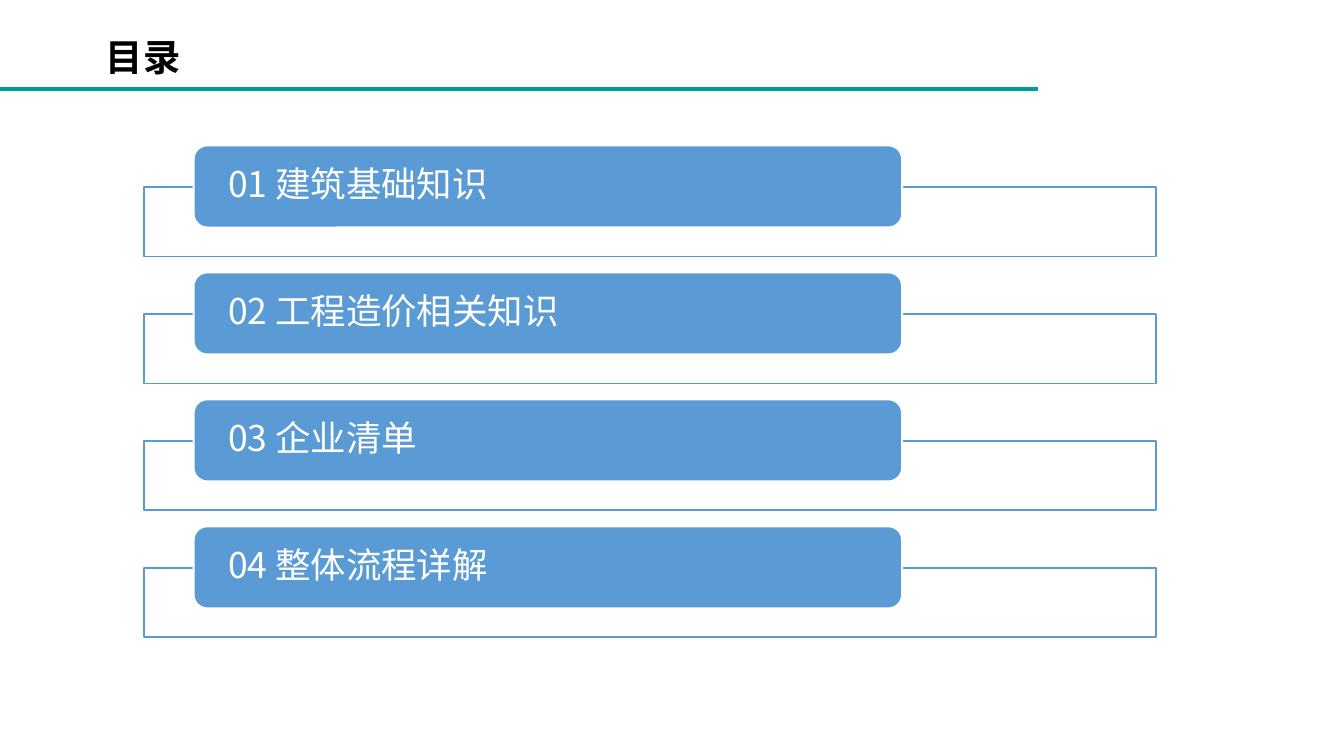
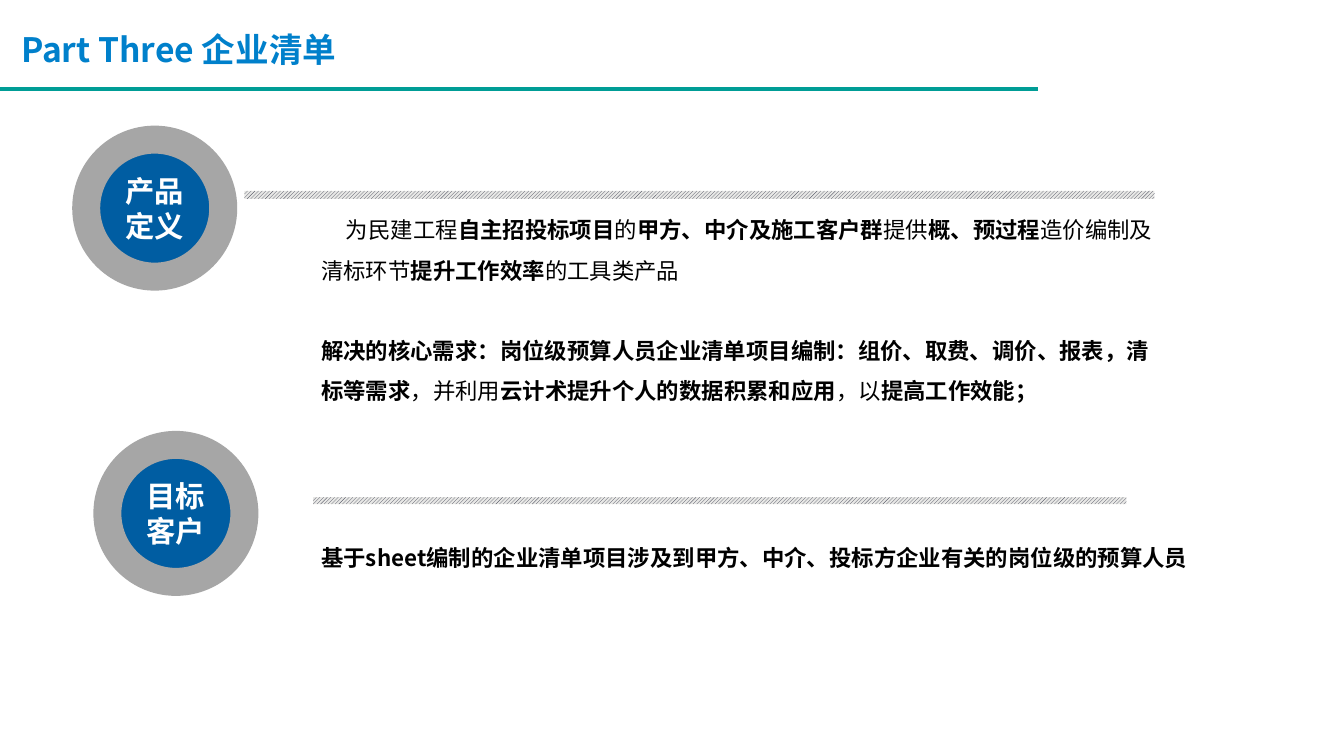
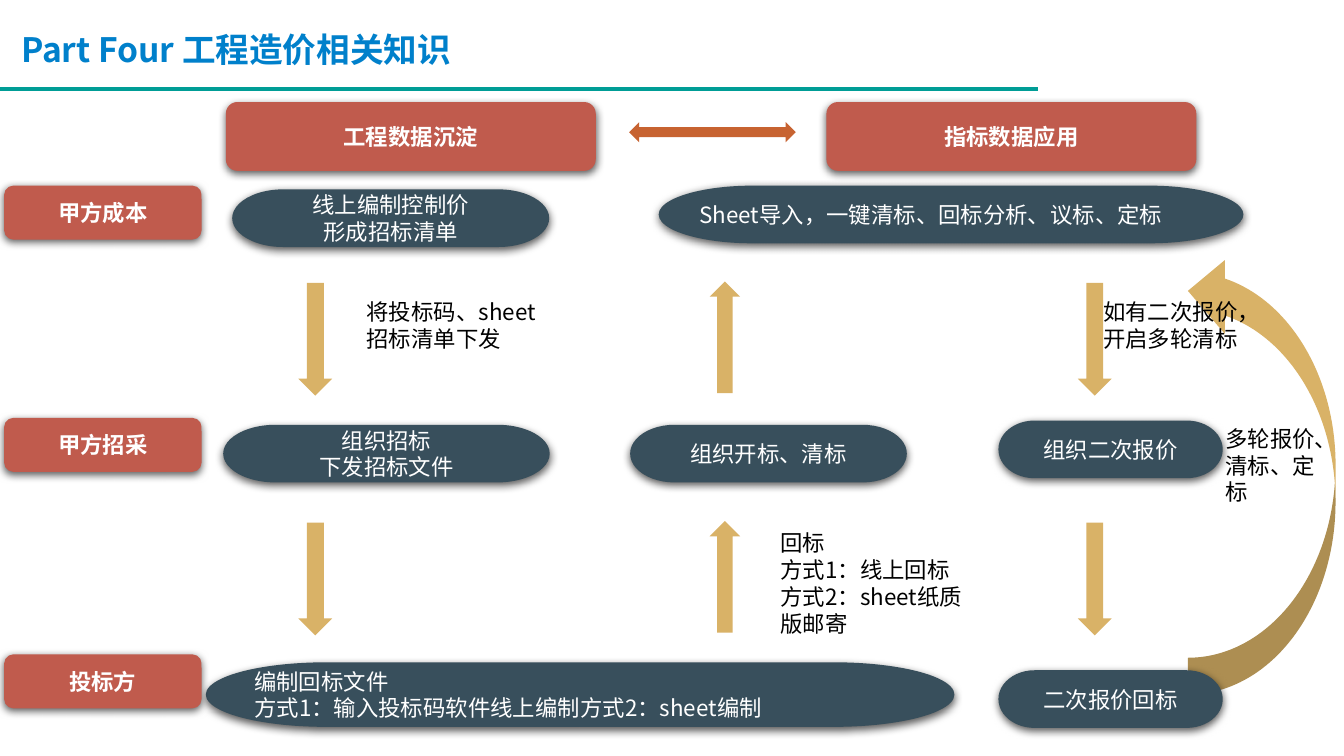
from dataclasses import dataclass, replace
from typing import Optional

from lxml import etree
from pptx import Presentation
from pptx import slide as s
from pptx import util as u
from pptx.dml import color, fill
from pptx.enum import dml, shapes, text
from pptx.oxml import ns
from pptx.shapes import autoshape

FONT = "Noto Sans CJK SC"
WHITE, BLACK = "FFFFFF", "000000"
TEAL, TITLE_BLUE = "009D96", "0080CB"
BAR_BLUE, BADGE_BLUE, BADGE_GRAY = "5B9BD5", "005DA2", "A6A6A6"
HATCH_DARK, HATCH_LIGHT = "414455", "E8E8E6"
SLATE, BRICK, GOLD, ORANGE = "384F5C", "C05B4D", "D9B267", "C76331"

Kind = shapes.MSO_SHAPE
Align = text.PP_ALIGN


@dataclass(frozen=True)
class Place:
    left: float
    top: float
    width: float
    height: float

    def lengths(self) -> tuple[u.Cm, u.Cm, u.Cm, u.Cm]:
        return u.Cm(self.left), u.Cm(self.top), u.Cm(self.width), u.Cm(self.height)


@dataclass(frozen=True)
class Style:
    size: float = 12
    ink: str = BLACK
    bold: bool = False
    align: Align = Align.LEFT
    spacing: Optional[float] = None
    gap: float = 0
    indent: float = 0
    side: float = 0.25
    edge: float = 0.13
    wrap: bool = True


@dataclass(frozen=True)
class Look:
    kind: Kind
    paint: str
    line: Optional[str] = None
    weight: float = 1
    shadow: bool = False


@dataclass(frozen=True)
class Label:
    place: Place
    words: str
    align: Align = Align.CENTER


NOTE = Style()
HEADING = Style(18, TITLE_BLUE, True, wrap=False)
CONTENTS_TITLE = Style(20, bold=True, spacing=0.9)
BAR_TEXT = Style(19, WHITE, spacing=0.9, side=0.58, edge=0)
BADGE_TEXT = Style(15.7, WHITE, True, Align.CENTER, side=0.15, edge=0.08)
BODY = Style(spacing=1.5, gap=21.5, indent=0.47, side=0.15, edge=0.08)
STEP_TEXT = Style(ink=WHITE)
TAG_TEXT = Style(ink=WHITE, bold=True)

FRAME = Look(Kind.RECTANGLE, WHITE, BAR_BLUE)
BAR = Look(Kind.ROUNDED_RECTANGLE, BAR_BLUE, WHITE)
BADGE = Look(Kind.OVAL, BADGE_BLUE, BADGE_GRAY, 15)
STEP = Look(Kind.FLOWCHART_TERMINATOR, SLATE, shadow=True)
TAG = Look(Kind.ROUNDED_RECTANGLE, BRICK, shadow=True)
DOWN = Look(Kind.DOWN_ARROW, GOLD)
UP = Look(Kind.UP_ARROW, GOLD)
LOOP = Look(Kind.CURVED_RIGHT_ARROW, GOLD)
EXCHANGE = Look(Kind.LEFT_RIGHT_ARROW, ORANGE)


def rgb(value: str) -> color.RGBColor:
    return color.RGBColor.from_string(value)


def paint(target: fill.FillFormat, value: str) -> None:
    target.solid()
    target.fore_color.rgb = rgb(value)


def write(box: autoshape.Shape, words: str, style: Style) -> None:
    frame = box.text_frame
    frame.word_wrap = style.wrap
    frame.margin_left = frame.margin_right = u.Cm(style.side)
    frame.margin_top = frame.margin_bottom = u.Cm(style.edge)
    for number, line in enumerate(words.split("\n")):
        para = frame.add_paragraph() if number else frame.paragraphs[0]
        para.alignment = style.align
        if style.spacing:
            para.line_spacing = style.spacing
        if number and style.gap:
            para.space_before = u.Pt(style.gap)
        font = para.font
        font.size, font.name = u.Pt(style.size), FONT
        font.color.rgb = rgb(style.ink)
        properties = para._p.get_or_add_pPr()
        if not number and style.indent:
            properties.set("indent", str(u.Cm(style.indent)))
        east_asian = etree.SubElement(properties.find(ns.qn("a:defRPr")), ns.qn("a:ea"))
        east_asian.set("typeface", FONT)
        pieces = line.split("*")
        if len(pieces) == 1:
            font.bold = style.bold
        for index, piece in enumerate(pieces):
            if piece:
                span = para.add_run()
                span.text = piece
                if len(pieces) > 1:
                    span.font.bold = index % 2 == 1


def add_note(page: s.Slide, place: Place, words: str, style: Style = NOTE) -> None:
    write(page.shapes.add_textbox(*place.lengths()), words, style)


def add_shadow(box: autoshape.Shape) -> None:
    effects = box._element.spPr.find(ns.qn("a:effectLst"))
    shadow = etree.SubElement(effects, ns.qn("a:outerShdw"))
    shadow.set("blurRad", str(u.Pt(4.5)))
    shadow.set("dist", str(u.Pt(1.5)))
    shadow.set("dir", "5400000")
    shadow.set("rotWithShape", "0")
    tint = etree.SubElement(shadow, ns.qn("a:srgbClr"), val=BLACK)
    etree.SubElement(tint, ns.qn("a:alpha"), val="63000")


def add_block(page: s.Slide, place: Place, look: Look) -> autoshape.Shape:
    box = page.shapes.add_shape(look.kind, *place.lengths())
    box.shadow.inherit = False
    paint(box.fill, look.paint)
    if look.line:
        paint(box.line.fill, look.line)
        box.line.width = u.Pt(look.weight)
    else:
        box.line.fill.background()
    if look.shadow:
        add_shadow(box)
    return box


def add_labels(page: s.Slide, labels: list[Label], look: Look, style: Style) -> None:
    for label in labels:
        box = add_block(page, label.place, look)
        box.text_frame.vertical_anchor = text.MSO_ANCHOR.MIDDLE
        write(box, label.words, replace(style, align=label.align))


def add_hatch(page: s.Slide, place: Place) -> None:
    band = add_block(page, place, Look(Kind.RECTANGLE, HATCH_LIGHT))
    band.fill.patterned()
    band.fill.pattern = dml.MSO_PATTERN.LIGHT_UPWARD_DIAGONAL
    band.fill.fore_color.rgb = rgb(HATCH_DARK)
    band.fill.back_color.rgb = rgb(HATCH_LIGHT)


def add_page(deck: Presentation) -> s.Slide:
    page = deck.slides.add_slide(deck.slide_layouts[6])
    rule = page.shapes.add_connector(
        shapes.MSO_CONNECTOR.STRAIGHT, u.Cm(0), u.Cm(1.68), u.Cm(19.61), u.Cm(1.68)
    )
    paint(rule.line.fill, TEAL)
    rule.line.width = u.Pt(2)
    etree.SubElement(rule._element.spPr, ns.qn("a:effectLst"))
    return page


def add_heading(page: s.Slide, words: str, width: float) -> None:
    add_note(page, Place(0.15, 0.41, width, 1.02), words, HEADING)


def build_contents(deck: Presentation) -> None:
    page = add_page(deck)
    add_note(page, Place(1.75, 0.61, 21.89, 1.07), "目录", CONTENTS_TITLE)
    chapters = ["建筑基础知识", "工程造价相关知识", "企业清单", "整体流程详解"]
    for index, chapter in enumerate(chapters):
        offset = 2.4 * index
        frame = add_block(page, Place(2.72, 3.53 + offset, 19.13, 1.32), FRAME)
        tint = frame._element.spPr.find(ns.qn("a:solidFill"))[0]
        etree.SubElement(tint, ns.qn("a:alpha"), val="90000")
        bar = Label(
            Place(3.66, 2.75 + offset, 13.39, 1.55), f"{index + 1:02} {chapter}", Align.LEFT
        )
        add_labels(page, [bar], BAR, BAR_TEXT)


def build_product(deck: Presentation) -> None:
    page = add_page(deck)
    add_heading(page, "Part Three 企业清单", 6.63)
    add_hatch(page, Place(5.92, 9.4, 15.37, 0.13))
    add_hatch(page, Place(4.62, 3.61, 17.2, 0.15))
    badges = [
        Label(Place(1.63, 2.64, 2.59, 2.59), "产品定义"),
        Label(Place(2.03, 8.41, 2.59, 2.59), "目标客户"),
    ]
    add_labels(page, badges, BADGE, BADGE_TEXT)
    definition = (
        "为民建工程*自主招投标项目*的*甲方、中介及施工客户群*提供*概、预过程*"
        "造价编制及清标环节*提升工作效率*的工具类产品\n"
        "*解决的核心需求：岗位级预算人员企业清单项目编制：组价、取费、调价、报表，清标等需求*"
        "，并利用*云计术提升个人的数据积累和应用*，以*提高工作效能；*"
    )
    add_note(page, Place(5.92, 3.76, 16.33, 3.99), definition, BODY)
    customers = "基于sheet编制的企业清单项目涉及到甲方、中介、投标方企业有关的岗位级的预算人员"
    add_note(
        page, Place(5.92, 9.96, 16.92, 0.91), customers, replace(BODY, bold=True, indent=0)
    )


def build_process(deck: Presentation) -> None:
    page = add_page(deck)
    add_block(page, Place(22.45, 4.8, 2.79, 8.33), LOOP).rotation = 180
    add_heading(page, "Part Four 工程造价相关知识", 8.81)
    steps = [
        Label(Place(4.39, 3.58, 5.99, 1.09), "线上编制控制价\n形成招标清单"),
        Label(Place(4.22, 8.03, 6.17, 1.09), "组织招标\n下发招标文件"),
        Label(
            Place(3.89, 12.52, 14.15, 1.22),
            "编制回标文件\n方式1：输入投标码软件线上编制方式2：sheet编制",
            Align.LEFT,
        ),
        Label(Place(11.91, 8.03, 5.23, 1.09), "组织开标、清标"),
        Label(
            Place(12.45, 3.51, 11.05, 1.09),
            "Sheet导入，一键清标、回标分析、议标、定标",
            Align.LEFT,
        ),
        Label(Place(18.87, 7.95, 4.24, 1.09), "组织二次报价"),
        Label(Place(18.87, 12.67, 4.24, 1.09), "二次报价回标"),
    ]
    add_labels(page, steps, STEP, STEP_TEXT)
    for top in (5.35, 9.88):
        for left in (5.64, 20.37):
            add_block(page, Place(left, top, 0.64, 2.13), DOWN)
        add_block(page, Place(13.41, top - 0.03, 0.58, 2.11), UP)
    notes = [
        Label(Place(6.68, 5.51, 3.71, 1.27), "将投标码、sheet招标清单下发"),
        Label(Place(14.5, 9.88, 4.24, 2.31), "回标\n方式1：线上回标\n方式2：sheet纸质版邮寄"),
        Label(Place(20.6, 5.51, 3.71, 1.27), "如有二次报价，开启多轮清标"),
        Label(Place(22.91, 7.9, 2.49, 1.8), "多轮报价、清标、定标"),
    ]
    for note in notes:
        add_note(page, note.place, note.words)
    phases = [(4.27, "工程数据沉淀"), (15.62, "指标数据应用")]
    parties = [(3.51, "甲方成本"), (7.9, "甲方招采"), (12.37, "投标方")]
    tags = [Label(Place(left, 1.93, 6.99, 1.3), words) for left, words in phases]
    tags += [Label(Place(0.08, top, 3.73, 1.02), words) for top, words in parties]
    add_labels(page, tags, TAG, TAG_TEXT)
    add_block(page, Place(11.89, 2.31, 3.15, 0.38), EXCHANGE)


def main() -> None:
    deck = Presentation()
    deck.slide_width, deck.slide_height = u.Cm(25.4), u.Cm(14.29)
    build_contents(deck)
    build_product(deck)
    build_process(deck)
    deck.save("out.pptx")


if __name__ == "__main__":
    main()
